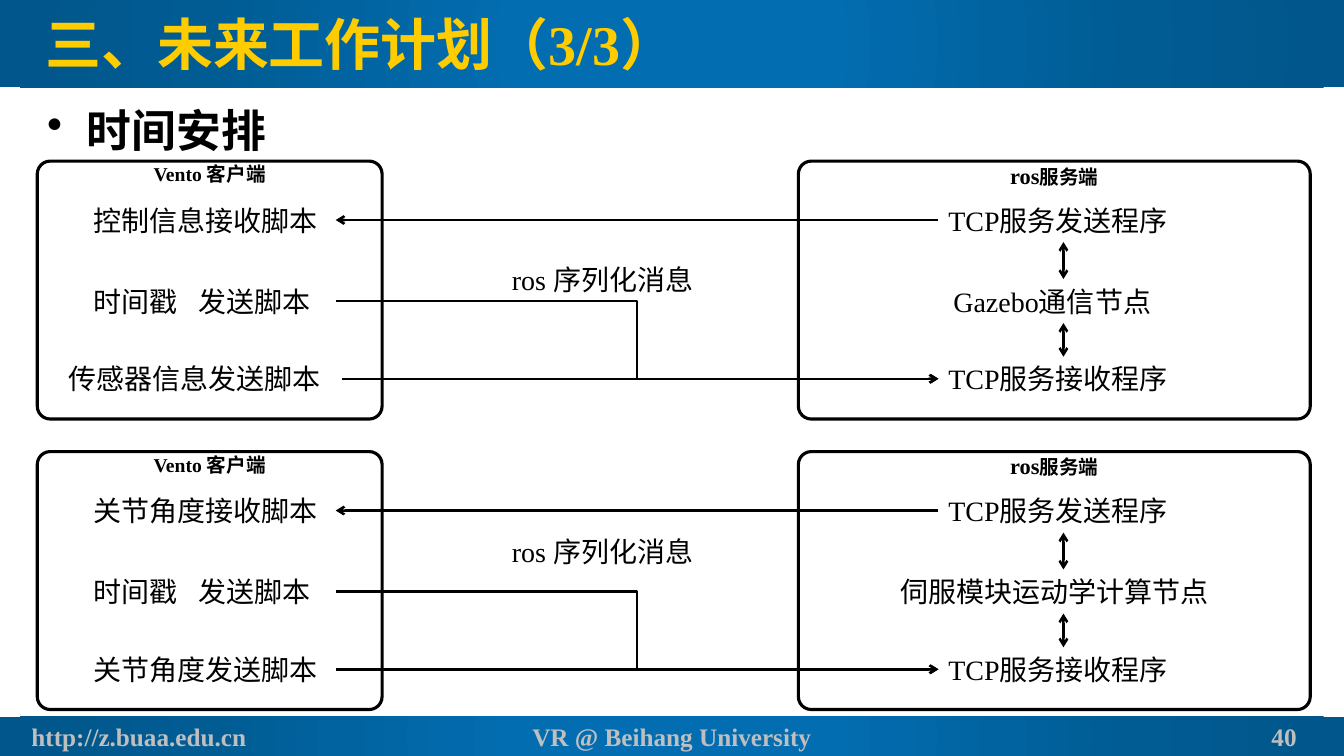
"""Build the slide on the message flow between client and server."""
from lxml import etree
from pptx import Presentation
from pptx.dml.color import RGBColor
from pptx.enum.shapes import MSO_CONNECTOR, MSO_SHAPE
from pptx.enum.text import MSO_ANCHOR, PP_ALIGN
from pptx.oxml.ns import qn
from pptx.util import Cm, Pt

LEFT, CENTER = PP_ALIGN.LEFT, PP_ALIGN.CENTER
TOP, MIDDLE = MSO_ANCHOR.TOP, MSO_ANCHOR.MIDDLE
RECT, ROUNDED = MSO_SHAPE.RECTANGLE, MSO_SHAPE.ROUNDED_RECTANGLE
STRAIGHT, ELBOW = MSO_CONNECTOR.STRAIGHT, MSO_CONNECTOR.ELBOW
TOP_SIDE, LEFT_SIDE, BOTTOM_SIDE, RIGHT_SIDE = range(4)

FONT = "Times New Roman"
COLORS = {"ink": "000000", "paper": "FFFFFF", "title": "FFCC00", "footer": "BFBFBF"}
BAND_STOPS = [(0, "026DB0"), (23, "026DB0"), (69, "015C94"), (97, "01568B"), (100, "01568B")]

SLIDE_W, SLIDE_H = 33.87, 19.05
FOOTER_TOP, FOOTER_H = 18.06, 0.99
PANEL_H = 6.5
NODE_H = 1.11
ROW_OFFSETS = (0.93, 2.97, 4.93)
SERVER_CENTER = 26.8
TAB_STOP = 2.65
NODE_INSETS = (0.25, 0.13, 0.25, 0.13)

CLIENT_WIDE = (1.47, 7.16)
CLIENT = (2.11, 6.35)
FLOWS = [
    {"top": 4.06, "message_offset": 2.42,
     "client": [("控制信息接收脚本", CLIENT), ("时间戳\t发送脚本", CLIENT),
                ("传感器信息发送脚本", CLIENT_WIDE)],
     "server": [("TCP服务发送程序", 6.3), ("Gazebo通信节点", 6.05), ("TCP服务接收程序", 6.3)]},
    {"top": 11.38, "message_offset": 1.96,
     "client": [("关节角度接收脚本", CLIENT), ("时间戳\t发送脚本", CLIENT),
                ("关节角度发送脚本", CLIENT)],
     "server": [("TCP服务发送程序", 6.3), ("伺服模块运动学计算节点", 8.71),
                ("TCP服务接收程序", 6.3)]},
]


def rgb(name):
    return RGBColor.from_string(COLORS[name])


def write(shape, *runs, color="ink", bold=False, align=LEFT, anchor=TOP,
          insets=NODE_INSETS, spacing=None, bullet=False):
    """Write (text, size) runs as one paragraph in a shape."""
    frame = shape.text_frame
    frame.word_wrap = True
    frame.vertical_anchor = anchor
    (frame.margin_left, frame.margin_top,
     frame.margin_right, frame.margin_bottom) = map(Cm, insets)
    paragraph = frame.paragraphs[0]
    paragraph.alignment = align
    if spacing:
        paragraph.line_spacing = spacing
    properties = paragraph._p.get_or_add_pPr()
    if bullet:
        properties.set("marL", str(Cm(1)))
        properties.set("indent", str(-Cm(1)))
        etree.SubElement(properties, qn("a:buChar")).set("char", "•")
    if any("\t" in text for text, _ in runs):
        stops = etree.SubElement(properties, qn("a:tabLst"))
        stop = etree.SubElement(stops, qn("a:tab"))
        stop.set("pos", str(Cm(TAB_STOP)))
        stop.set("algn", "l")
    for text, size in runs:
        run = paragraph.add_run()
        run.text = text
        run.font.name = FONT
        run.font.size = Pt(size)
        run.font.bold = bold
        run.font.color.rgb = rgb(color)


def add_label(slide, left, top, width, height, *runs, **text_format):
    label = slide.shapes.add_textbox(Cm(left), Cm(top), Cm(width), Cm(height))
    write(label, *runs, **text_format)


def add_box(slide, kind, left, top, width, height):
    box = slide.shapes.add_shape(kind, Cm(left), Cm(top), Cm(width), Cm(height))
    box.shadow.inherit = False
    return box


def add_band(slide, top, height):
    """Add a full-width band with a radial gradient."""
    band = add_box(slide, RECT, 0, top, SLIDE_W, height)
    band.line.fill.background()
    gradient = etree.Element(qn("a:gradFill"), rotWithShape="1")
    stops = etree.SubElement(gradient, qn("a:gsLst"))
    for percent, color in BAND_STOPS:
        stop = etree.SubElement(stops, qn("a:gs"), pos=str(percent * 1000))
        etree.SubElement(stop, qn("a:srgbClr"), val=color)
    circle = etree.SubElement(gradient, qn("a:path"), {"path": "circle"})
    etree.SubElement(circle, qn("a:fillToRect"), l="50000", t="50000", r="50000", b="50000")
    band._element.spPr.find(qn("a:prstGeom")).addnext(gradient)


def add_panel(slide, left, top, width, *heading):
    panel = add_box(slide, ROUNDED, left, top, width, PANEL_H)
    panel.adjustments[0] = 0.05
    panel.fill.background()
    panel.line.color.rgb = rgb("ink")
    panel.line.width = Pt(2.25)
    write(panel, *heading, bold=True, align=CENTER, insets=(0, 0, 0, 0.1), spacing=0.9)


def add_node(slide, left, top, width, text):
    node = add_box(slide, RECT, left, top, width, NODE_H)
    node.fill.solid()
    node.fill.fore_color.rgb = rgb("paper")
    node.line.fill.background()
    write(node, (text, 20))
    return node


def add_arrow(slide, kind, start, start_side, end, end_side, both=False):
    """Draw an arrow between the sides of two nodes."""
    arrow = slide.shapes.add_connector(kind, 0, 0, 0, 0)
    arrow.begin_connect(start, start_side)
    arrow.end_connect(end, end_side)
    arrow.line.color.rgb = rgb("ink")
    arrow.line.width = Pt(1.75)
    outline = arrow._element.spPr.find(qn("a:ln"))
    if both:
        etree.SubElement(outline, qn("a:headEnd"), type="arrow")
    etree.SubElement(outline, qn("a:tailEnd"), type="arrow")
    etree.SubElement(arrow._element.spPr, qn("a:effectLst"))


def add_flow(slide, flow):
    """Add a client panel, a server panel and the messages between them."""
    top = flow["top"]
    add_panel(slide, 0.94, top, 8.69, ("Vento 客户端", 14))
    add_panel(slide, 20.12, top, 12.9, ("ros", 16), ("服务端", 14))
    rows = [top + offset for offset in ROW_OFFSETS]
    receiver, stamp, sender = [
        add_node(slide, left, row, width, text)
        for row, (text, (left, width)) in zip(rows, flow["client"])]
    server = [
        add_node(slide, SERVER_CENTER - width / 2, row, width, text)
        for row, (text, width) in zip(rows, flow["server"])]
    add_node(slide, 12.65, top + flow["message_offset"], 5.44, "ros 序列化消息")
    add_arrow(slide, STRAIGHT, server[0], LEFT_SIDE, receiver, RIGHT_SIDE)
    add_arrow(slide, ELBOW, stamp, RIGHT_SIDE, server[2], LEFT_SIDE)
    add_arrow(slide, STRAIGHT, sender, RIGHT_SIDE, server[2], LEFT_SIDE)
    for upper, lower in zip(server, server[1:]):
        add_arrow(slide, STRAIGHT, upper, BOTTOM_SIDE, lower, TOP_SIDE, both=True)


def main():
    deck = Presentation()
    deck.slide_width, deck.slide_height = Cm(SLIDE_W), Cm(SLIDE_H)
    slide = deck.slides.add_slide(deck.slide_layouts[6])
    add_band(slide, 0, 2.2)
    add_band(slide, FOOTER_TOP, FOOTER_H)
    for left, width, text in [(0, 7, "http://z.buaa.edu.cn"),
                              (12.93, 8, "VR @ Beihang University"),
                              (30.86, 3, "40")]:
        add_label(slide, left, FOOTER_TOP, width, FOOTER_H, (text, 18), color="footer",
                  bold=True, align=CENTER, anchor=MIDDLE, insets=(0, 0, 0, 0))
    add_label(slide, 0.89, 0.2, 31.95, 1.78, ("三、未来工作计划（3/3）", 40),
              color="title", bold=True, anchor=MIDDLE)
    add_label(slide, 0.94, 2.46, 32, 1.55, ("时间安排", 32), bold=True, bullet=True)
    for flow in FLOWS:
        add_flow(slide, flow)
    deck.save("out.pptx")


if __name__ == "__main__":
    main()
